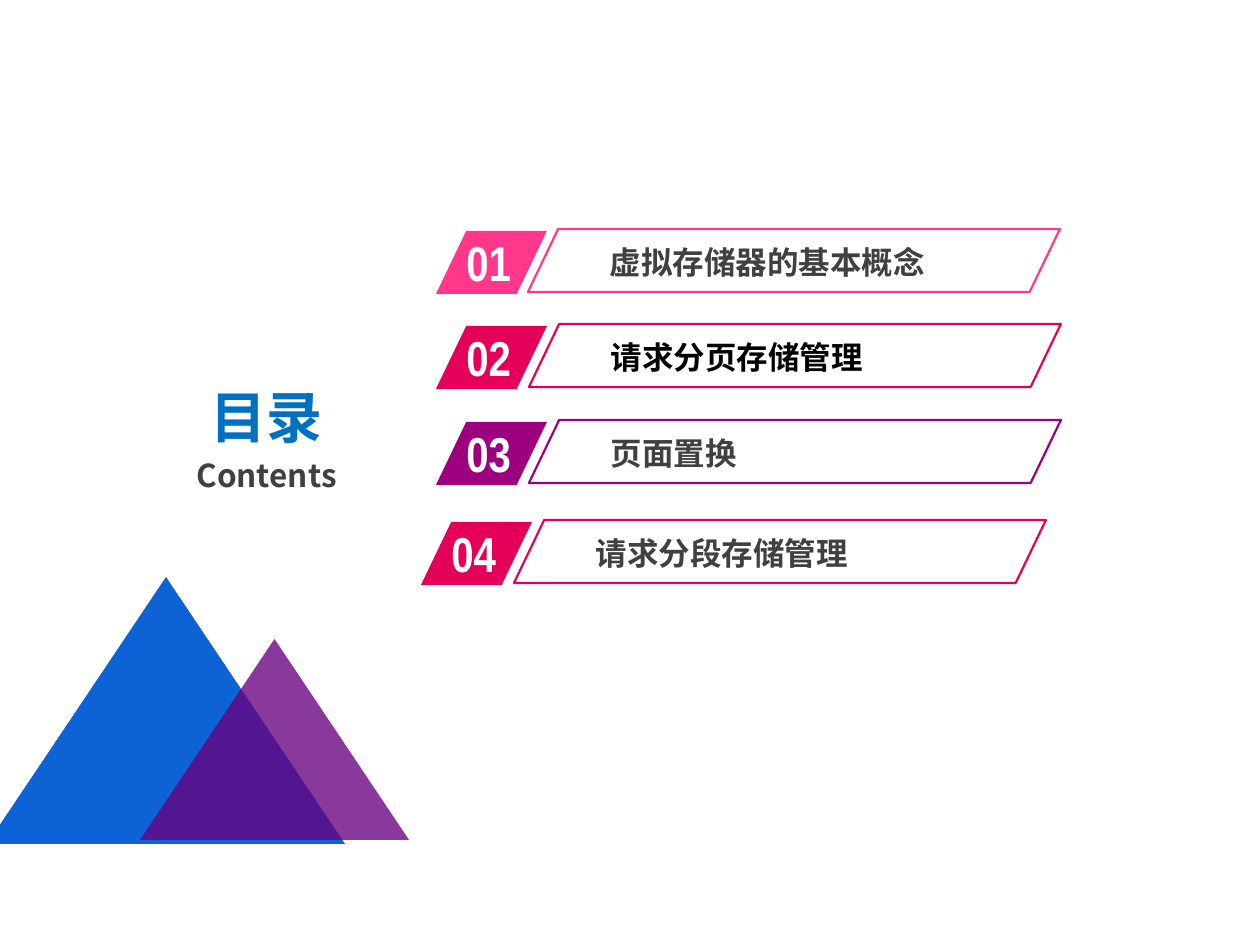
from dataclasses import dataclass
from lxml import etree
from pptx import Presentation
from pptx.dml.color import RGBColor
from pptx.enum.shapes import MSO_SHAPE as Shape
from pptx.enum.text import MSO_ANCHOR as Anchor, PP_ALIGN as Align
from pptx.oxml.ns import qn
from pptx.util import Pt

PX = 914400 / 126  # EMU per pixel


def px(n):
    return round(n * PX)


@dataclass(frozen=True)
class Theme:
    pink: str = "FF388C"
    red: str = "E40059"
    plum: str = "9C007F"
    blue: str = "005BD3"
    violet: str = "68007F"
    heading: str = "0070C0"
    text: str = "404040"
    current: str = "000000"
    white: str = "FFFFFF"
    body_font: str = "Noto Sans CJK SC"
    number_font: str = "Arial Narrow"
    heading_size: int = 32
    number_size: int = 28
    body_size: int = 18


class Deck:
    def __init__(self, theme, width, height):
        self.theme = theme
        self.prs = Presentation()
        self.prs.slide_width, self.prs.slide_height = px(width), px(height)
        self.s = self.prs.slides.add_slide(self.prs.slide_layouts[6])

    def shape(self, kind, x, y, w, h, fill=None, line=None, alpha=None, adj=None):
        sp = self.s.shapes.add_shape(kind, px(x), px(y), px(w), px(h))
        sp.shadow.inherit = False
        if adj is not None:
            sp.adjustments[0] = adj
        if fill:
            sp.fill.solid()
            sp.fill.fore_color.rgb = RGBColor.from_string(fill)
        else:
            sp.fill.background()
        if line:
            sp.line.color.rgb = RGBColor.from_string(line)
            sp.line.width = Pt(1.25)
        else:
            sp.line.fill.background()
        if alpha is not None:
            color = sp.fill._xPr.find(".//" + qn("a:srgbClr"))
            etree.SubElement(color, qn("a:alpha")).set("val", str(alpha * 1000))
        return sp

    def slanted(self, x, y, w, **style):
        return self.shape(Shape.PARALLELOGRAM, x, y, w, 63, adj=0.48, **style)

    def text(self, x, y, w, h, lines, font, align=Align.LEFT, anchor=Anchor.TOP,
             inset=None):
        """Each line is (text, size, color)."""
        tf = self.s.shapes.add_textbox(px(x), px(y), px(w), px(h)).text_frame
        tf.word_wrap = True
        tf.vertical_anchor = anchor
        if inset:
            tf.margin_left = tf.margin_right = px(inset[0])
            tf.margin_top = tf.margin_bottom = px(inset[1])
        tf.text = "\n".join(line[0] for line in lines)
        for i, (p, (_, size, color)) in enumerate(zip(tf.paragraphs, lines)):
            p.alignment = align
            if i:
                p.space_before = Pt(round(size * 0.2))
            for r in p.runs:
                r.font.name = font
                r.font.size = Pt(size)
                r.font.bold = True
                r.font.color.rgb = RGBColor.from_string(color)
                ea = etree.SubElement(r.font._element, qn("a:ea"))
                ea.set("typeface", font)

    def entry(self, x, y, frame_gap, number, title, color, title_color):
        t = self.theme
        # Number tag
        self.slanted(x, y, 111, fill=color)
        self.text(x + 18, y - 5, 106, 72, [(number, t.number_size, t.white)],
                  t.number_font)
        # Framed title
        frame_x = x + frame_gap
        self.text(frame_x + 73, y + 7, 390, 48, [(title, t.body_size, title_color)],
                  t.body_font, inset=(9, 5))
        self.slanted(frame_x, y - 2, 532, line=color)


def main():
    t = Theme()
    deck = Deck(t, 1260, 945)

    # Heading
    deck.text(111, 404, 311, 68,
              [("目录", t.heading_size, t.heading), ("Contents", t.body_size, t.text)],
              t.body_font, Align.CENTER, Anchor.MIDDLE)

    # Corner triangles
    deck.shape(Shape.ISOSCELES_TRIANGLE, -13, 577, 358, 267, fill=t.blue, alpha=95)
    deck.shape(Shape.ISOSCELES_TRIANGLE, 140, 639, 269, 201, fill=t.violet, alpha=78)

    # Table of contents, with the current section in black
    entries = [
        (436, 231, 92, "虚拟存储器的基本概念", t.pink, t.text),
        (436, 326, 93, "请求分页存储管理", t.red, t.current),
        (436, 422, 93, "页面置换", t.plum, t.text),
        (421, 522, 93, "请求分段存储管理", t.red, t.text),
    ]
    for i, (x, y, gap, title, color, title_color) in enumerate(entries, 1):
        deck.entry(x, y, gap, f"{i:02}", title, color, title_color)

    deck.prs.save("out.pptx")


if __name__ == "__main__":
    main()
